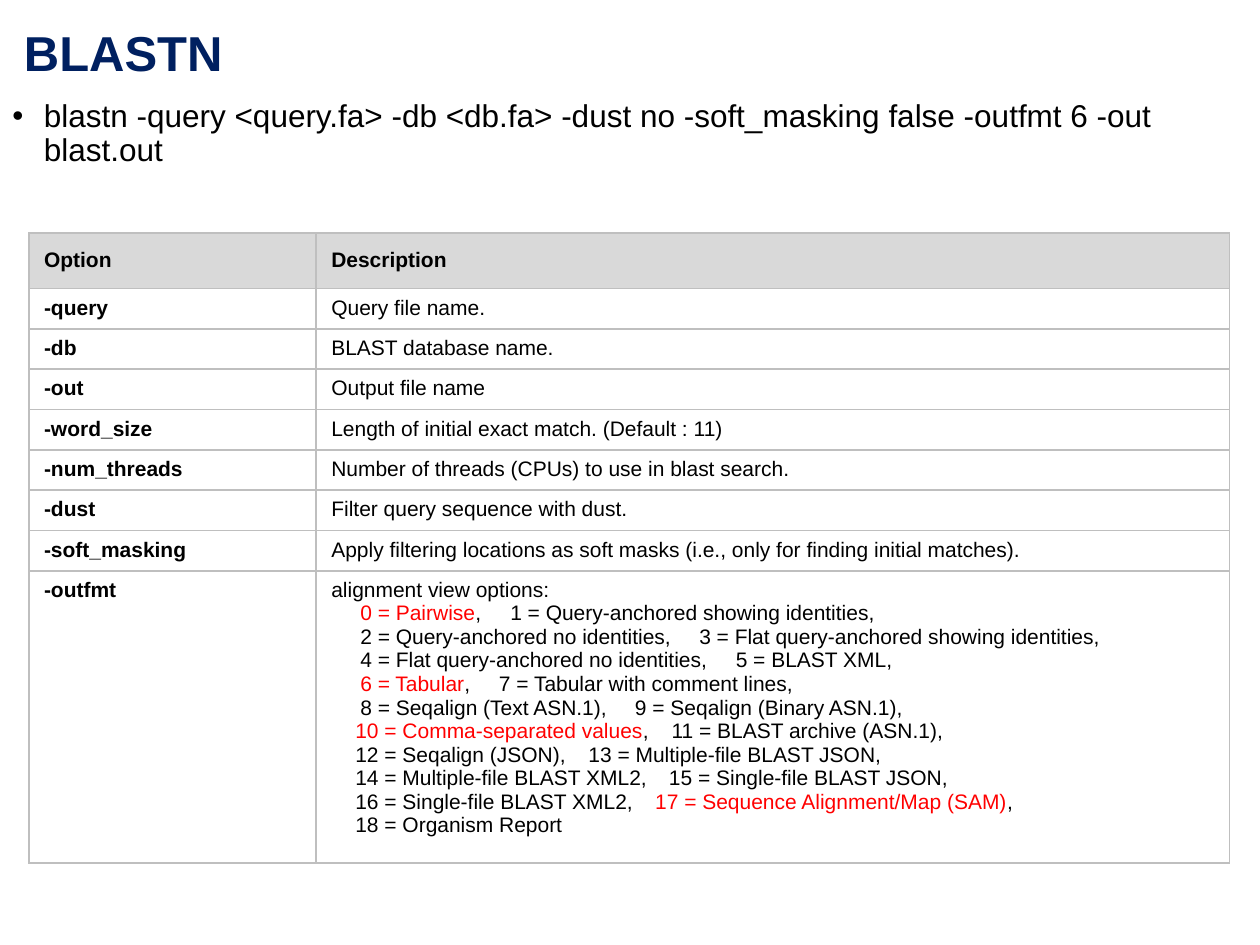
"""Build the BLASTN options slide."""
from lxml.etree import SubElement
from pptx import Presentation
from pptx.dml.color import RGBColor as Rgb
from pptx.enum.text import MSO_ANCHOR as Anchor, MSO_AUTO_SIZE as AutoSize, PP_ALIGN as Align
from pptx.oxml.ns import qn
from pptx.util import Inches, Pt

COLORS = {"title": "002060", "text": "000000", "accent": "FF0000",
          "header": "D9D9D9", "border": "BFBFBF"}
COMMAND = "blastn -query <query.fa> -db <db.fa> -dust no -soft_masking false -outfmt 6 -out blast.out"
OPTIONS = [
    ("Option", "Description"),
    ("-query", "Query file name."),
    ("-db", "BLAST database name."),
    ("-out", "Output file name"),
    ("-word_size", "Length of initial exact match. (Default : 11)"),
    ("-num_threads", "Number of threads (CPUs) to use in blast search."),
    ("-dust", "Filter query sequence with dust."),
    ("-soft_masking", "Apply filtering locations as soft masks (i.e., only for finding initial matches)."),
    ("-outfmt", "alignment view options:"),
]
FORMATS = [
    ("0 = Pairwise", "1 = Query-anchored showing identities", 1.42),
    ("2 = Query-anchored no identities", "3 = Flat query-anchored showing identities", 2.92),
    ("4 = Flat query-anchored no identities", "5 = BLAST XML", 3.21),
    ("6 = Tabular", "7 = Tabular with comment lines", 1.33),
    ("8 = Seqalign (Text ASN.1)", "9 = Seqalign (Binary ASN.1)", 2.41),
    ("10 = Comma-separated values", "11 = BLAST archive (ASN.1)", 2.7),
    ("12 = Seqalign (JSON)", "13 = Multiple-file BLAST JSON", 2.04),
    ("14 = Multiple-file BLAST XML2", "15 = Single-file BLAST JSON", 2.68),
    ("16 = Single-file BLAST XML2", "17 = Sequence Alignment/Map (SAM)", 2.57),
    ("18 = Organism Report", None, None),
]
HIGHLIGHTED = {"0 = Pairwise", "6 = Tabular", "10 = Comma-separated values",
               "17 = Sequence Alignment/Map (SAM)"}


class SlideBuilder:
    """Hold the style and the current slide."""

    def __init__(self, deck):
        self.font = "Arial"
        self.page = deck.slides.add_slide(deck.slide_layouts[5])

    def style(self, para, size, bold=False, color="text"):
        for span in para.runs:
            span.font.name = self.font
            span.font.size = Pt(size)
            span.font.bold = bold
            span.font.color.rgb = Rgb.from_string(COLORS[color])

    def title(self, text, left, top, width, height):
        box = self.page.shapes.title
        box.left, box.top, box.width, box.height = map(Inches, (left, top, width, height))
        frame = box.text_frame
        frame.text = text
        frame.auto_size = AutoSize.NONE
        frame.vertical_anchor = Anchor.TOP
        frame.paragraphs[0].alignment = Align.LEFT
        self.style(frame.paragraphs[0], 28, True, "title")

    def bullet(self, text, left, top, width, height):
        box = self.page.shapes.add_textbox(*map(Inches, (left, top, width, height)))
        box.text_frame.word_wrap = True
        para = box.text_frame.paragraphs[0]
        para.text = text
        para.line_spacing = 0.9
        props = para._p.get_or_add_pPr()
        props.set("marL", str(Inches(0.25)))
        props.set("indent", str(Inches(-0.25)))
        SubElement(props, qn("a:buFont"), typeface=self.font)
        SubElement(props, qn("a:buChar"), char="•")
        self.style(para, 18)

    def cell(self, cell, text, header, bold):
        cell.margin_left = cell.margin_right = Inches(0.12)
        cell.margin_top = cell.margin_bottom = Inches(0.12 if header else 0.06)
        cell.text = text
        self.style(cell.text_frame.paragraphs[0], 12, bold)
        props = cell._tc.get_or_add_tcPr()
        for side in ("lnL", "lnR", "lnT", "lnB"):
            line = SubElement(props, qn(f"a:{side}"), w=str(Pt(1)))
            SubElement(SubElement(line, qn("a:solidFill")), qn("a:srgbClr"), val=COLORS["border"])
        if header:
            cell.fill.solid()
            cell.fill.fore_color.rgb = Rgb.from_string(COLORS["header"])
        else:
            cell.fill.background()

    def table(self, rows, left, top, widths, heights):
        sizes = map(Inches, (left, top, sum(widths), sum(heights)))
        table = self.page.shapes.add_table(len(rows), len(widths), *sizes).table
        table.first_row = table.horz_banding = False
        for column, width in zip(table.columns, widths):
            column.width = Inches(width)
        for index, (texts, height) in enumerate(zip(rows, heights)):
            table.rows[index].height = Inches(height)
            for place, text in enumerate(texts):
                header = index == 0
                self.cell(table.cell(index, place), text, header, header or place == 0)
        return table

    def format_line(self, frame, first, second, second_stop):
        para = frame.add_paragraph()
        first_stop = 0.23 if first[1] == " " else 0.19
        texts, stops = ["\t", first], [first_stop]
        if second:
            texts += [",\t", second, ","]
            stops.append(second_stop)
        tabs = SubElement(para._p.get_or_add_pPr(), qn("a:tabLst"))
        for stop in stops:
            SubElement(tabs, qn("a:tab"), pos=str(Inches(stop)), algn="l")
        for text in texts:
            para.add_run().text = text
        self.style(para, 12)
        for span in para.runs:
            if span.text in HIGHLIGHTED:
                span.font.color.rgb = Rgb.from_string(COLORS["accent"])


def main():
    deck = Presentation()
    deck.slide_width, deck.slide_height = Inches(10), Inches(7.5)
    builder = SlideBuilder(deck)
    builder.title("BLASTN", 0.09, 0.13, 7.92, 0.57)
    builder.bullet(COMMAND, 0, 0.75, 9.41, 1.01)
    heights = [0.43] + [0.3] * (len(OPTIONS) - 2) + [2.17]
    table = builder.table(OPTIONS, 0.23, 1.85, (2.28, 7.25), heights)
    frame = table.cell(len(OPTIONS) - 1, 1).text_frame
    for line in FORMATS:
        builder.format_line(frame, *line)
    deck.save("out.pptx")


if __name__ == "__main__":
    main()
